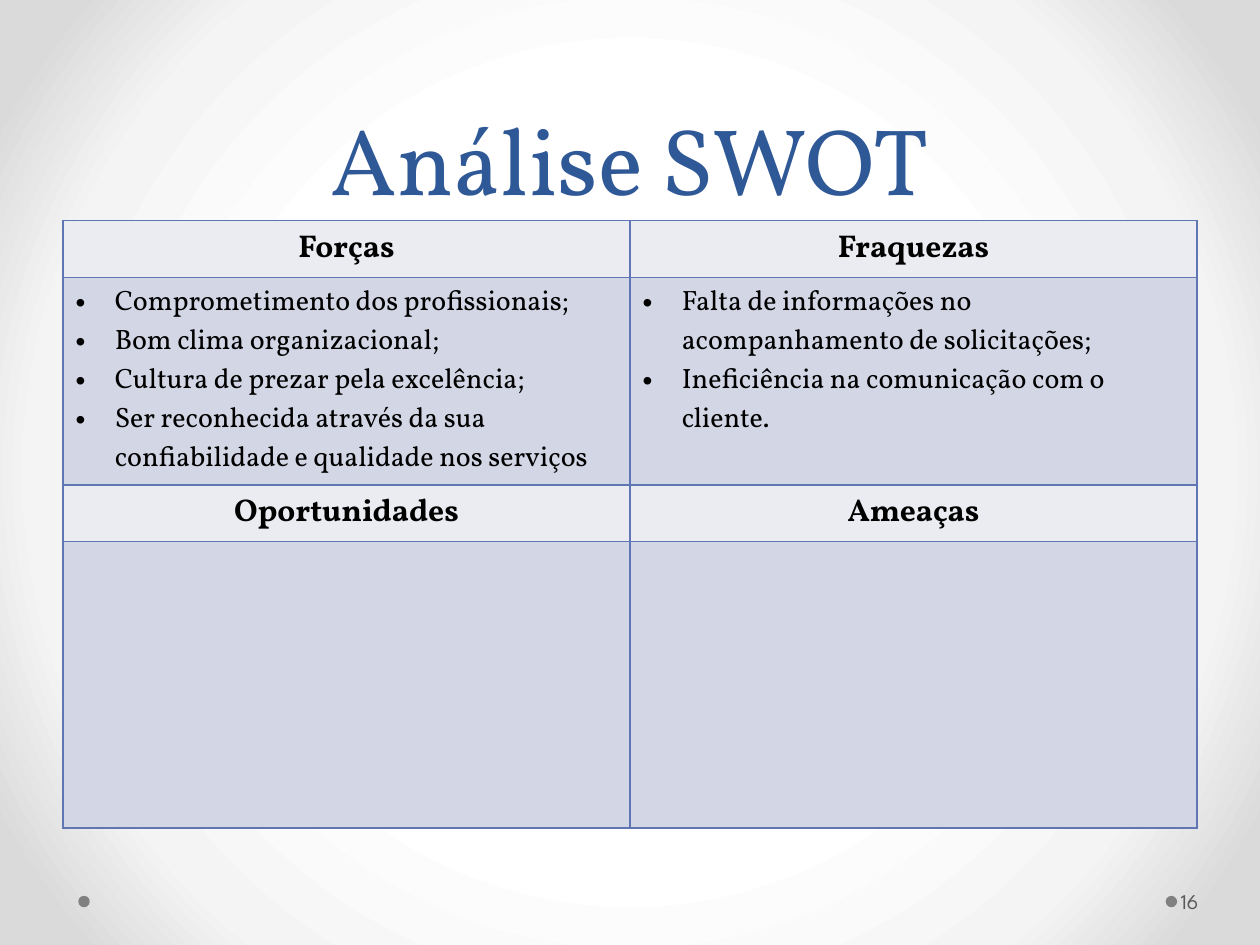
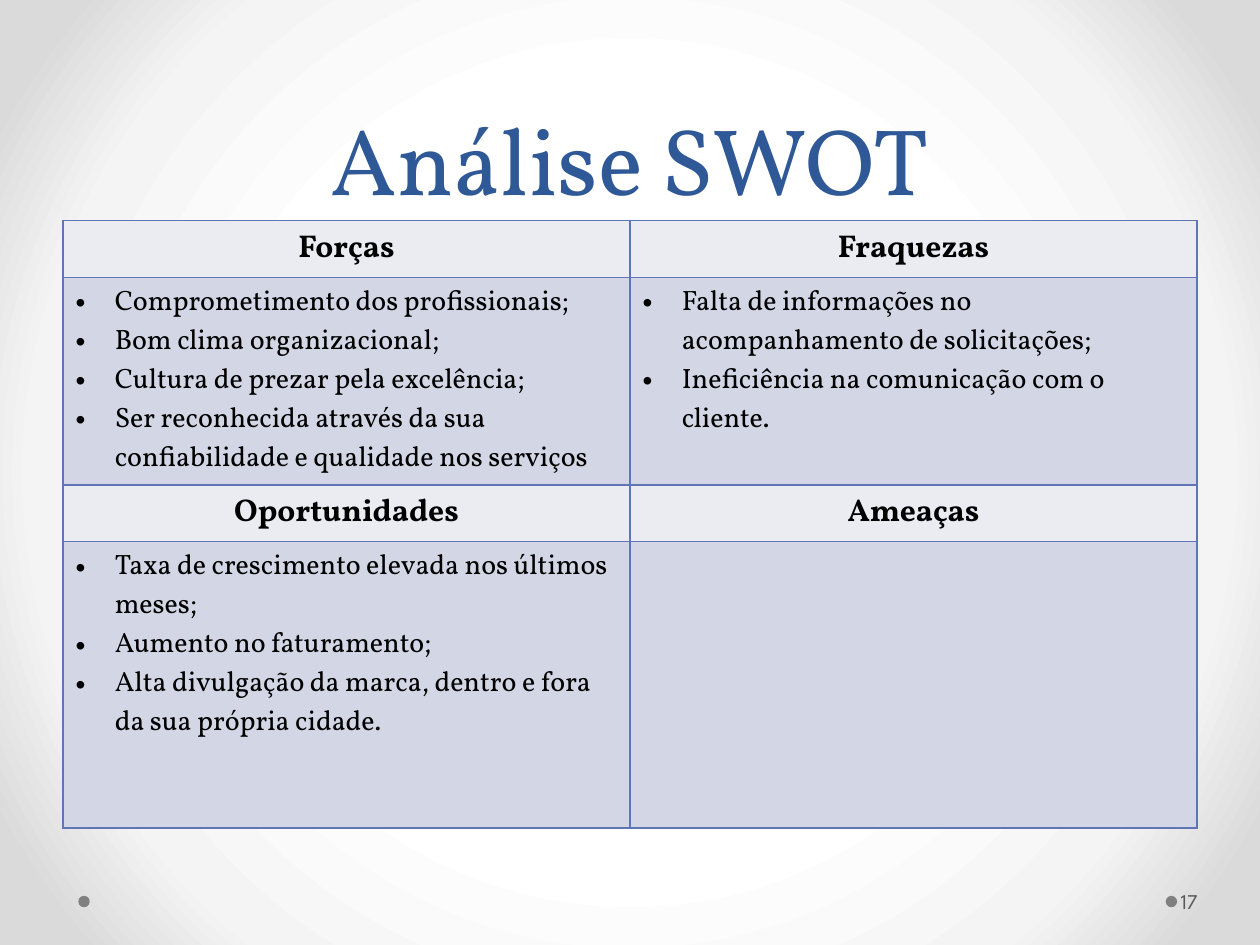
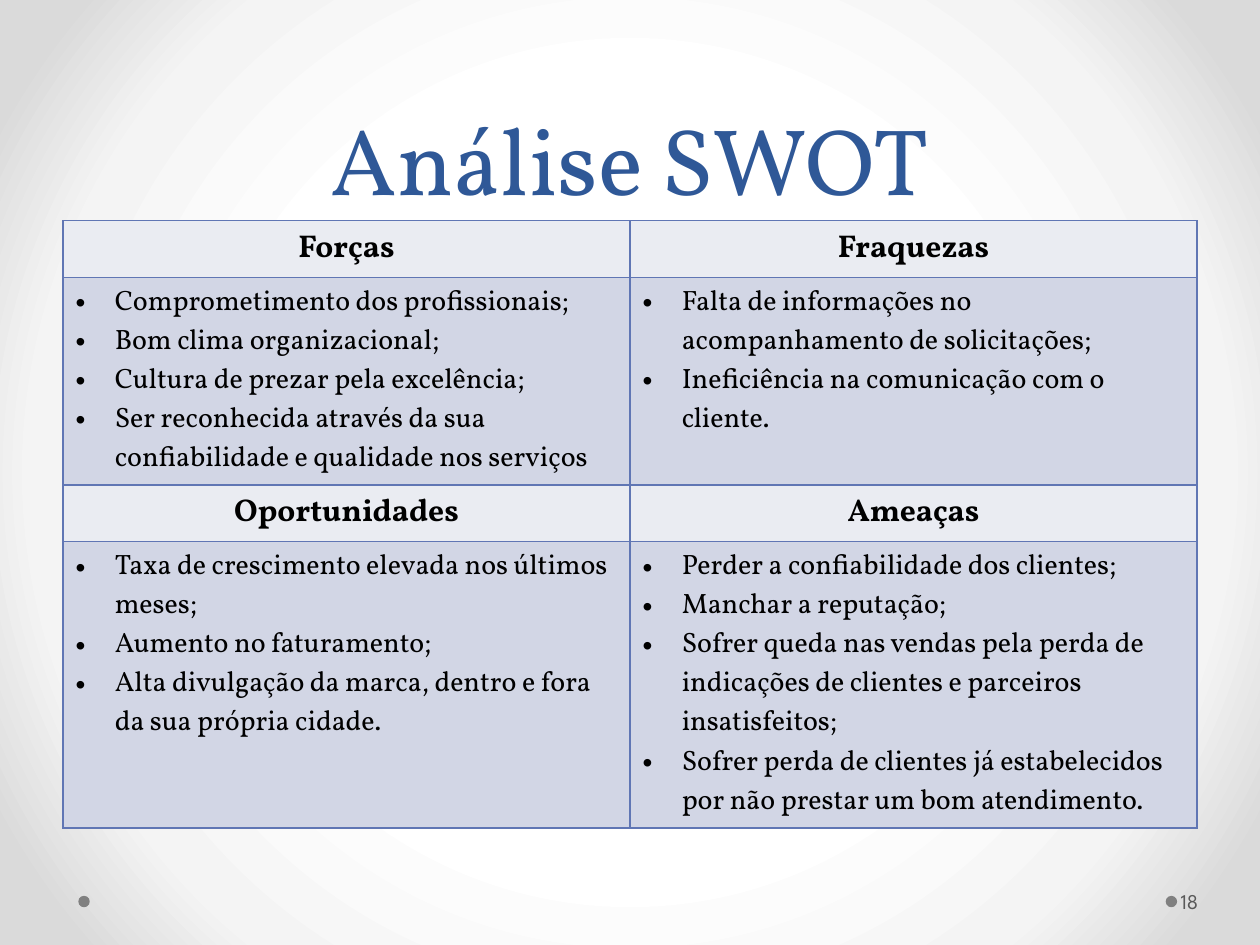
from dataclasses import dataclass
from pptx import Presentation
from pptx.dml.color import RGBColor
from pptx.enum.shapes import MSO_SHAPE
from pptx.enum.text import MSO_ANCHOR, PP_ALIGN
from pptx.oxml import parse_xml
from pptx.oxml.ns import nsdecls, qn
from pptx.util import Cm, Pt


@dataclass(frozen=True)
class Theme:
    serif: str = "Vollkorn"
    sans: str = "League Spartan"
    title: str = "2F5897"
    ink: str = "000000"
    head: str = "EAECF2"
    body: str = "D2D6E5"
    rule: str = "6076B4"
    dot: str = "808080"
    page: str = "595959"
    glow: tuple = ((50, "FFFFFF"), (76, "F4F4F4"), (92, "DADADA"))
    big: int = 54
    lead: int = 58
    label: int = 18
    item: int = 16
    small: int = 12


LOOK = Theme()
HEADS = ("Forças", "Fraquezas", "Oportunidades", "Ameaças")
FORCES = (
    "Comprometimento dos profissionais;",
    "Bom clima organizacional;",
    "Cultura de prezar pela excelência;",
    "Ser reconhecida através da sua confiabilidade e qualidade nos serviços",
)
FLAWS = (
    "Falta de informações no acompanhamento de solicitações;",
    "Ineficiência na comunicação com o cliente.",
)
CHANCES = (
    "Taxa de crescimento elevada nos últimos meses;",
    "Aumento no faturamento;",
    "Alta divulgação da marca, dentro e fora da sua própria cidade.",
)
THREATS = (
    "Perder a confiabilidade dos clientes;",
    "Manchar a reputação;",
    "Sofrer queda nas vendas pela perda de indicações de clientes e parceiros insatisfeitos;",
    "Sofrer perda de clientes já estabelecidos por não prestar um bom atendimento.",
)
PAGES = {
    16: (FORCES, FLAWS, (), ()),
    17: (FORCES, FLAWS, CHANCES, ()),
    18: (FORCES, FLAWS, CHANCES, THREATS),
}
ROWS = (1.14, 4.19, 1.14, 5.77)


def paint(fill, color):
    fill.solid()
    fill.fore_color.rgb = RGBColor.from_string(color)


def write(para, text, size, color, font=LOOK.serif, bold=False):
    run = para.add_run()
    run.text = text
    run.font.name = font
    run.font.size = Pt(size)
    run.font.bold = bold
    run.font.color.rgb = RGBColor.from_string(color)


def add_glow(master):
    master.background.fill.solid()
    stops = "".join(
        f'<a:gs pos="{pos * 1000}"><a:srgbClr val="{color}"/></a:gs>'
        for pos, color in LOOK.glow
    )
    grad = parse_xml(
        f'<a:gradFill {nsdecls("a")} rotWithShape="1"><a:gsLst>{stops}</a:gsLst>'
        '<a:path path="circle"><a:fillToRect l="50000" t="50000" r="50000" b="50000"/>'
        "</a:path></a:gradFill>"
    )
    props = master.element.find(".//" + qn("p:bgPr"))
    props.replace(props[0], grad)


def add_dot(slide, left):
    dot = slide.shapes.add_shape(
        MSO_SHAPE.OVAL, Cm(left), Cm(18.06), Cm(0.23), Cm(0.23)
    )
    dot.shadow.inherit = False
    paint(dot.fill, LOOK.dot)
    dot.line.fill.background()


def add_box(slide, left, top, width, height, anchor):
    box = slide.shapes.add_textbox(Cm(left), Cm(top), Cm(width), Cm(height))
    frame = box.text_frame
    frame.word_wrap = True
    frame.vertical_anchor = anchor
    return frame


def add_title(slide, text):
    frame = add_box(slide, 1.27, 0, 22.86, 4.45, MSO_ANCHOR.BOTTOM)
    para = frame.paragraphs[0]
    para.alignment = PP_ALIGN.CENTER
    para.line_spacing = Pt(LOOK.lead)
    write(para, text, LOOK.big, LOOK.title)


def add_page(slide, number):
    frame = add_box(slide, 23.72, 17.65, 1.55, 1.02, MSO_ANCHOR.MIDDLE)
    frame.margin_left = Cm(0.08)
    frame.margin_right = Cm(0.13)
    write(frame.paragraphs[0], str(number), LOOK.small, LOOK.page, LOOK.sans)


def style(cell, color):
    props = cell._tc.get_or_add_tcPr()
    for side in "LRTB":
        props.append(parse_xml(
            f'<a:ln{side} {nsdecls("a")} w="{Pt(1)}"><a:solidFill>'
            f'<a:srgbClr val="{LOOK.rule}"/></a:solidFill></a:ln{side}>'
        ))
    paint(cell.fill, color)


def add_head(cell, text):
    style(cell, LOOK.head)
    para = cell.text_frame.paragraphs[0]
    para.alignment = PP_ALIGN.CENTER
    write(para, text, LOOK.label, LOOK.ink, bold=True)


def add_list(cell, items):
    style(cell, LOOK.body)
    frame = cell.text_frame
    for index, text in enumerate(items):
        para = frame.add_paragraph() if index else frame.paragraphs[0]
        props = para._p.get_or_add_pPr()
        props.set("marL", str(Cm(0.79)))
        props.set("indent", str(-Cm(0.79)))
        props.append(parse_xml(f'<a:buFont {nsdecls("a")} typeface="Arial"/>'))
        props.append(parse_xml(f'<a:buChar {nsdecls("a")} char="•"/>'))
        write(para, text, LOOK.item, LOOK.ink)


def add_swot(slide, lists):
    table = slide.shapes.add_table(
        len(ROWS), 2, Cm(1.27), Cm(4.45), Cm(22.86), Cm(sum(ROWS))
    ).table
    table.first_row = False
    table.horz_banding = False
    for row, height in zip(table.rows, ROWS):
        row.height = Cm(height)
    for index, (head, items) in enumerate(zip(HEADS, lists)):
        band, col = divmod(index, 2)
        add_head(table.cell(2 * band, col), head)
        add_list(table.cell(2 * band + 1, col), items)


def main():
    deck = Presentation()
    deck.slide_width = Cm(25.4)
    deck.slide_height = Cm(19.05)
    add_glow(deck.slide_master)
    for number, lists in PAGES.items():
        slide = deck.slides.add_slide(deck.slide_layouts[6])
        for left in (23.5, 1.58):
            add_dot(slide, left)
        add_title(slide, "Análise SWOT")
        add_swot(slide, lists)
        add_page(slide, number)
    deck.save("out.pptx")


if __name__ == "__main__":
    main()
